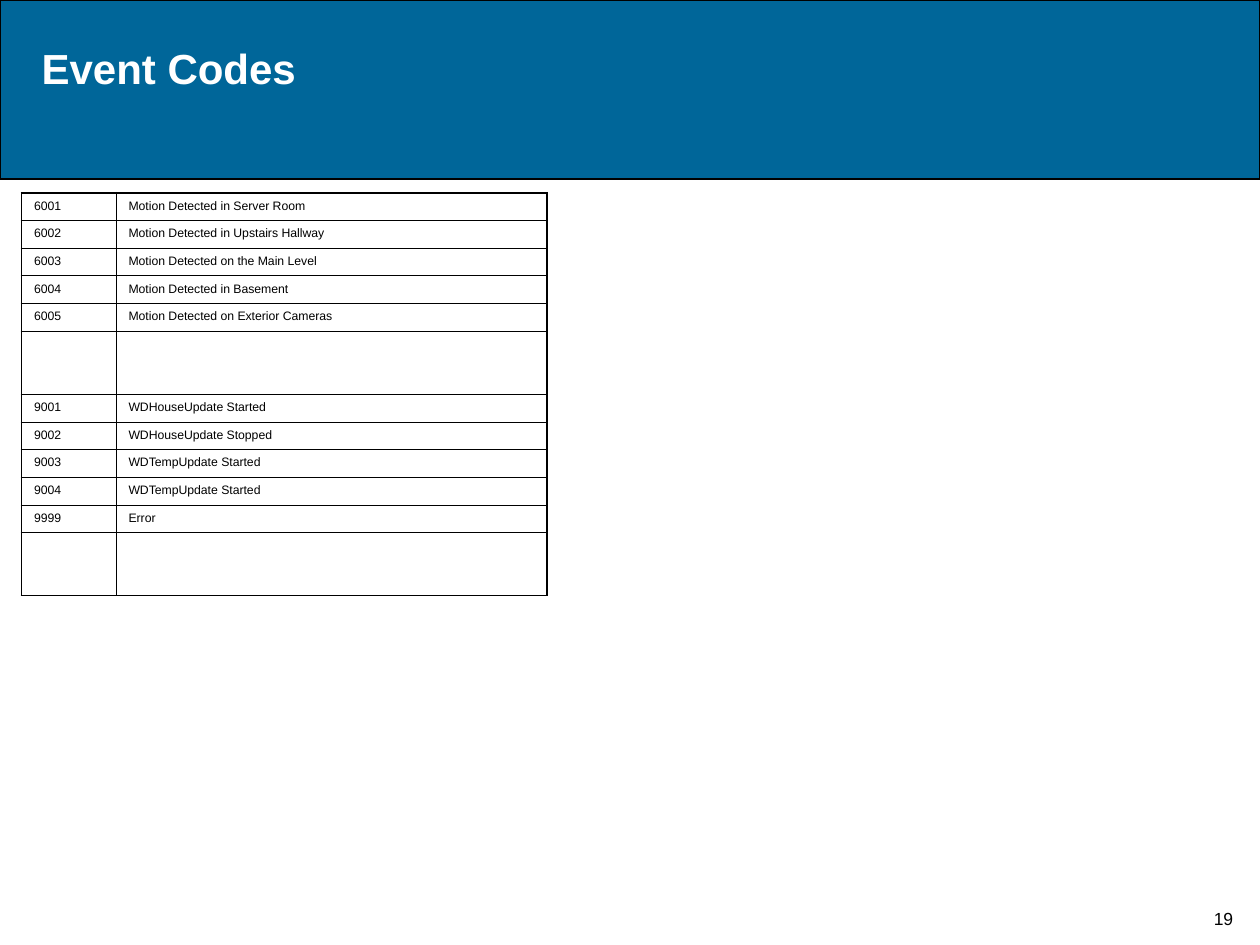
import pptx
import pptx.util
import pptx.dml.color
import pptx.enum.shapes
import pptx.enum.text
import pptx.oxml.ns
import lxml.etree

Inches = pptx.util.Inches
Pt = pptx.util.Pt
RGBColor = pptx.dml.color.RGBColor
PP_ALIGN = pptx.enum.text.PP_ALIGN
MSO_ANCHOR = pptx.enum.text.MSO_ANCHOR
qn = pptx.oxml.ns.qn

BLUE = RGBColor(0x00, 0x66, 0x99)
BLACK = RGBColor(0x00, 0x00, 0x00)
WHITE = RGBColor(0xFF, 0xFF, 0xFF)
THICK, THIN = Pt(1.08), Pt(0.45)


def write(tf, text, size, color, bold=False, align=PP_ALIGN.LEFT):
    p = tf.paragraphs[0]
    p.alignment = align
    r = p.add_run()
    r.text = text
    for name, value in {"name": "Arial", "size": Pt(size), "bold": bold}.items():
        setattr(r.font, name, value)
    r.font.color.rgb = color


def add_border(cell, side, width):
    ln = lxml.etree.SubElement(cell._tc.get_or_add_tcPr(), qn(f"a:ln{side}"), w=str(width))
    fill = lxml.etree.SubElement(ln, qn("a:solidFill"))
    lxml.etree.SubElement(fill, qn("a:srgbClr"), val=str(BLACK))


prs = pptx.Presentation()
prs.slide_width, prs.slide_height = Inches(10), Inches(7.5)
s = prs.slides.add_slide(prs.slide_layouts[5])

banner = s.shapes.add_shape(
    pptx.enum.shapes.MSO_SHAPE.RECTANGLE, 0, 0, prs.slide_width, Inches(1.42))
banner.shadow.inherit = False
banner.fill.solid()
banner.fill.fore_color.rgb = BLUE
banner.line.color.rgb = BLACK
banner.line.width = Pt(1)
s.shapes._spTree.insert(2, banner._element)

number = s.shapes.add_textbox(Inches(9.5), Inches(6.92), Inches(0.42), Inches(0.5))
number.text_frame.word_wrap = False
number.text_frame.vertical_anchor = MSO_ANCHOR.BOTTOM
write(number.text_frame, "19", 10, BLACK, align=PP_ALIGN.CENTER)

title = s.shapes.title
box = {"left": 0.23, "top": 0.29, "width": 9.43, "height": 0.5}
for name, value in box.items():
    setattr(title, name, Inches(value))
tf = title.text_frame
tf.vertical_anchor = MSO_ANCHOR.TOP
tf.auto_size = pptx.enum.text.MSO_AUTO_SIZE.SHAPE_TO_FIT_TEXT
write(tf, "Event Codes", 24, WHITE, bold=True)

events = [
    ("6001", "Motion Detected in Server Room"),
    ("6002", "Motion Detected in Upstairs Hallway"),
    ("6003", "Motion Detected on the Main Level"),
    ("6004", "Motion Detected in Basement"),
    ("6005", "Motion Detected on Exterior Cameras"),
    ("", ""),
    ("9001", "WDHouseUpdate Started"),
    ("9002", "WDHouseUpdate Stopped"),
    ("9003", "WDTempUpdate Started"),
    ("9004", "WDTempUpdate Started"),
    ("9999", "Error"),
    ("", ""),
]
widths = [0.75, 3.42]
heights = [0.22 if code else 0.5 for code, _ in events]
frame = s.shapes.add_table(len(events), len(widths), Inches(0.17), Inches(1.53),
                           Inches(sum(widths)), Inches(sum(heights)))
table = frame.table
table.first_row = table.horz_banding = False
for column, width in zip(table.columns, widths):
    column.width = Inches(width)

for i, event in enumerate(events):
    table.rows[i].height = Inches(heights[i])
    for j, text in enumerate(event):
        cell = table.cell(i, j)
        outer = {"L": j == 0, "R": j == len(widths) - 1,
                 "T": i == 0, "B": i == len(events) - 1}
        for side, is_outer in outer.items():
            add_border(cell, side, THICK if is_outer else THIN)
        cell.fill.background()
        if text:
            write(cell.text_frame, text, 7, BLACK)

prs.save("out.pptx")
